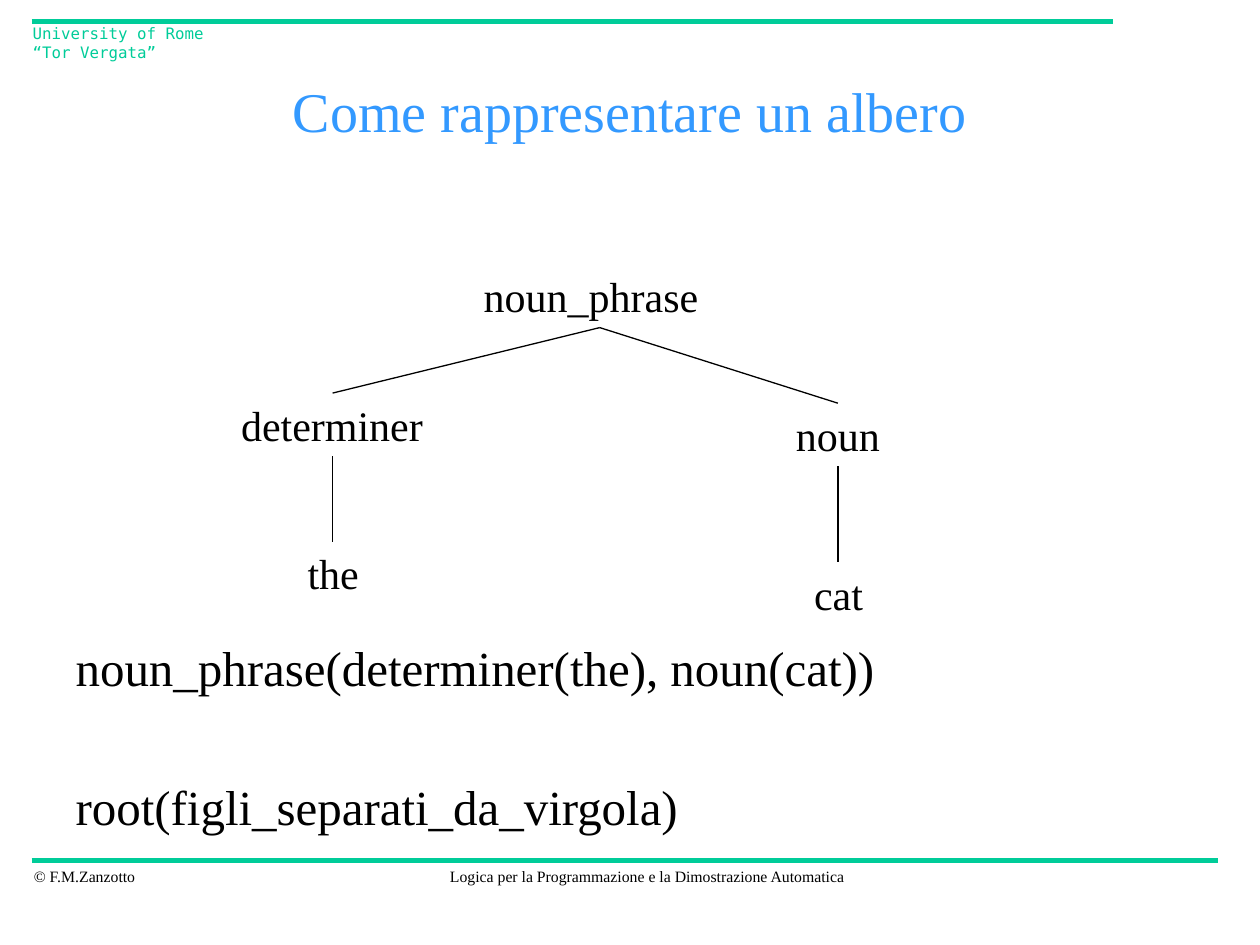
from dataclasses import dataclass
from typing import Optional

import pptx
import pptx.dml.color
import pptx.enum.shapes
import pptx.enum.text
import pptx.oxml.xmlchemy
import pptx.util
from pptx.oxml.ns import qn

ALIGN = pptx.enum.text.PP_ALIGN
ANCHOR = pptx.enum.text.MSO_ANCHOR
CELL = 0.1
NODE_ROWS = 5


@dataclass(frozen=True)
class Theme:
    font: str = "Times New Roman"
    mono: str = "DejaVu Sans Mono"
    ink: str = "000000"
    accent: str = "00CC99"
    heading: str = "3399FF"
    title_size: float = 32
    body_size: float = 28
    node_size: float = 24
    small_size: float = 9
    rule_width: float = 3
    branch_width: float = 0.75


@dataclass(frozen=True)
class Area:
    column: float
    row: float
    columns: float
    rows: float


@dataclass(frozen=True)
class Node:
    word: str
    centre: float
    row: float
    columns: float
    parent: Optional["Node"] = None
    align: ALIGN = ALIGN.CENTER


@dataclass(frozen=True)
class Label:
    wording: str
    area: Area
    font: str
    color: str
    align: ALIGN = ALIGN.LEFT
    wrap: bool = False


THEME = Theme()

PHRASE = Node("noun_phrase", 47.6, 21, 20.5, align=ALIGN.LEFT)
DETERMINER = Node("determiner", 26.4, 31.2, 16.5, PHRASE)
NOUN = Node("noun", 66.5, 32, 12.6, PHRASE)
THE = Node("the", 26.4, 43, 6.3, DETERMINER)
CAT = Node("cat", 66.5, 44.6, 6.3, NOUN)
TREE = (PHRASE, DETERMINER, NOUN, THE, CAT)

LABELS = (
    Label("© F.M.Zanzotto", Area(1.7, 68.3, 10.2, 2.5), THEME.font, THEME.ink),
    Label("Logica per la Programmazione e la Dimostrazione Automatica",
          Area(34.5, 68.3, 33.7, 2.5), THEME.font, THEME.ink, ALIGN.CENTER),
    Label("University of Rome “Tor Vergata”",
          Area(1.6, 1.4, 17.1, 2.5), THEME.mono, THEME.accent, wrap=True),
)
RULES = ((68.3, 96.7), (1.7, 88.3))
RULE_START = 2.5
TERMS = (
    ("noun_phrase(determiner(the), noun(cat))", 6),
    ("root(figli_separati_da_virgola)", 46),
)


def grid(cells: float) -> int:
    return pptx.util.Inches(round(cells * CELL, 2))


def place(shape, area: Area) -> None:
    shape.left, shape.top = grid(area.column), grid(area.row)
    shape.width, shape.height = grid(area.columns), grid(area.rows)


def style(paragraph, font: str, size: float, color: str, align: ALIGN) -> None:
    paragraph.alignment = align
    paragraph.font.name = font
    paragraph.font.size = pptx.util.Pt(size)
    paragraph.font.color.rgb = pptx.dml.color.RGBColor.from_string(color)


def draw_line(slide, start: tuple[float, float], end: tuple[float, float],
              color: str, width: float) -> None:
    line = slide.shapes.add_connector(
        pptx.enum.shapes.MSO_CONNECTOR.STRAIGHT,
        *(grid(value) for value in start + end))
    line.line.color.rgb = pptx.dml.color.RGBColor.from_string(color)
    line.line.width = pptx.util.Pt(width)
    properties = line._element.spPr
    properties.append(properties.makeelement(qn("a:effectLst"), {}))


def draw_label(slide, label: Label, size: float) -> None:
    area = label.area
    box = slide.shapes.add_textbox(grid(area.column), grid(area.row),
                                   grid(area.columns), grid(area.rows))
    box.text_frame.word_wrap = label.wrap
    box.text_frame.text = label.wording
    style(box.text_frame.paragraphs[0], label.font, size, label.color, label.align)


def draw_node(slide, node: Node) -> None:
    area = Area(node.centre - node.columns / 2, node.row, node.columns, NODE_ROWS)
    draw_label(slide, Label(node.word, area, THEME.font, THEME.ink,
                            node.align, wrap=True), THEME.node_size)
    if node.parent:
        draw_line(slide, (node.parent.centre, node.parent.row + NODE_ROWS),
                  (node.centre, node.row), THEME.ink, THEME.branch_width)


def fill_title(title) -> None:
    place(title, Area(7.5, 5, 85, 7.5))
    title.text_frame.text = "Come rappresentare un albero"
    title.text_frame.vertical_anchor = ANCHOR.MIDDLE
    title.text_frame.auto_size = pptx.enum.text.MSO_AUTO_SIZE.NONE
    style(title.text_frame.paragraphs[0], THEME.font, THEME.title_size,
          THEME.heading, ALIGN.CENTER)


def fill_terms(body) -> None:
    place(body, Area(5, 50.1, 90, 15.6))
    frame = body.text_frame
    frame.auto_size = pptx.enum.text.MSO_AUTO_SIZE.NONE
    frame.vertical_anchor = ANCHOR.TOP
    frame.text = "\n".join(term for term, _ in TERMS)
    for paragraph, (_, gap) in zip(frame.paragraphs, TERMS):
        style(paragraph, THEME.font, THEME.body_size, THEME.ink, ALIGN.LEFT)
        paragraph.space_before = pptx.util.Pt(gap)
        properties = paragraph._p.get_or_add_pPr()
        properties.set("marL", str(pptx.util.Inches(0.38)))
        properties.set("indent", str(-pptx.util.Inches(0.38)))
        properties.insert_element_before(
            properties.makeelement(qn("a:buNone"), {}), "a:tabLst", "a:defRPr")


def main() -> None:
    deck = pptx.Presentation()
    deck.slide_width, deck.slide_height = grid(100), grid(75)
    slide = deck.slides.add_slide(deck.slide_layouts[1])
    fill_title(slide.shapes.title)
    fill_terms(slide.placeholders[1])
    for row, end in RULES:
        draw_line(slide, (RULE_START, row), (end, row), THEME.accent, THEME.rule_width)
    for label in LABELS:
        draw_label(slide, label, THEME.small_size)
    for node in TREE:
        draw_node(slide, node)
    deck.save("out.pptx")


if __name__ == "__main__":
    main()
